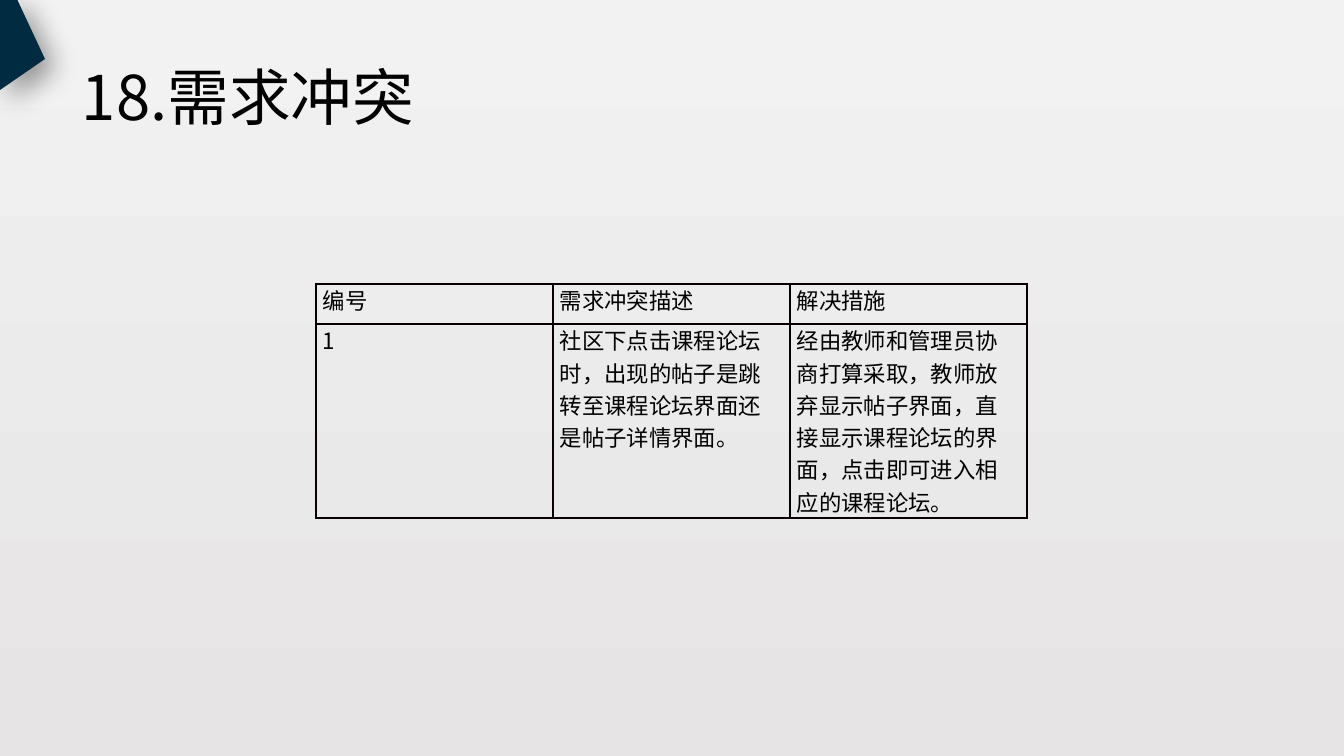
"""Build the requirement conflict slide with its title and table."""
from lxml.etree import SubElement
from pptx import Presentation
from pptx.dml.color import RGBColor
from pptx.enum.text import MSO_ANCHOR as Anchor
from pptx.oxml.ns import qn
from pptx.util import Pt

PX = 914400 / 100.8
FONT = "Noto Sans CJK SC"
INK = "000000"
SLIDE_SIZE = (1344, 756)
BACKGROUND = ("F2F2F2", "E6E4E4")

TITLE = "18.需求冲突"
TITLE_BOX = (72, 28, 1159, 146)

CORNER = [(17, -1), (0, -1), (0, 90), (45, 59)]
CORNER_FILL = "002B41"

CONFLICTS = [
    ("编号", "需求冲突描述", "解决措施"),
    (
        "1",
        "社区下点击课程论坛时，出现的帖子是跳转至课程论坛界面还是帖子详情界面。",
        "经由教师和管理员协商打算采取，教师放弃显示帖子界面，"
        "直接显示课程论坛的界面，点击即可进入相应的课程论坛。",
    ),
]
TABLE_CORNER = (316, 284)
COLUMN_WIDTH = 237
ROW_HEIGHTS = (40, 194)
CELL_INSET = 7
BORDER = "080000"


def px(length):
    return round(length * PX)


def rgb(value):
    return RGBColor.from_string(value)


def add_node(parent, tag, **attributes):
    return SubElement(parent, qn(tag), attributes)


def write(paragraph, words, size):
    paragraph.text = words
    font = paragraph.font
    font.size = Pt(size)
    font.color.rgb = rgb(INK)
    font.name = FONT
    defaults = paragraph._p.pPr.find(qn("a:defRPr"))
    add_node(defaults, "a:ea", typeface=FONT)


def paint_background(slide):
    fill = slide.background.fill
    fill.gradient()
    fill.gradient_angle = 270
    for stop, shade in zip(fill.gradient_stops, BACKGROUND):
        stop.color.rgb = rgb(shade)


def add_title(slide):
    frame = slide.shapes.add_textbox(*map(px, TITLE_BOX)).text_frame
    frame.word_wrap = True
    frame.vertical_anchor = Anchor.MIDDLE
    heading = frame.paragraphs[0]
    write(heading, TITLE, 44)
    heading.line_spacing = 0.9


def add_corner(slide):
    start, *others = CORNER
    outline = slide.shapes.build_freeform(*start, scale=PX)
    outline.add_line_segments(others, close=True)
    corner = outline.convert_to_shape()
    corner.fill.solid()
    corner.fill.fore_color.rgb = rgb(CORNER_FILL)
    corner.line.fill.background()
    corner.shadow.inherit = False
    effects = corner._element.spPr.find(qn("a:effectLst"))
    shadow = add_node(effects, "a:outerShdw", blurRad=str(Pt(20)), dist=str(Pt(10)),
                      dir=str(45 * 60000), algn="tl", rotWithShape="0")
    tint = add_node(shadow, "a:srgbClr", val=INK)
    add_node(tint, "a:alpha", val="40000")


def style_cell(cell):
    cell.margin_left = cell.margin_right = px(CELL_INSET)
    cell.margin_top = cell.margin_bottom = 0
    properties = cell._tc.get_or_add_tcPr()
    for side in ("a:lnL", "a:lnR", "a:lnT", "a:lnB"):
        edge = add_node(properties, side, w=str(Pt(1)))
        add_node(add_node(edge, "a:solidFill"), "a:srgbClr", val=BORDER)
    cell.fill.background()


def add_conflicts(slide):
    columns = len(CONFLICTS[0])
    size = (COLUMN_WIDTH * columns, sum(ROW_HEIGHTS))
    table = slide.shapes.add_table(
        len(CONFLICTS), columns, *map(px, TABLE_CORNER + size)).table
    table.first_row = table.horz_banding = False
    for column in table.columns:
        column.width = px(COLUMN_WIDTH)
    for row, height, entries in zip(table.rows, ROW_HEIGHTS, CONFLICTS):
        row.height = px(height)
        for cell, entry in zip(row.cells, entries):
            style_cell(cell)
            write(cell.text_frame.paragraphs[0], entry, 16)


def main():
    deck = Presentation()
    deck.slide_width, deck.slide_height = map(px, SLIDE_SIZE)
    slide = deck.slides.add_slide(deck.slide_layouts[6])
    paint_background(slide)
    add_title(slide)
    add_corner(slide)
    add_conflicts(slide)
    deck.save("out.pptx")


if __name__ == "__main__":
    main()
